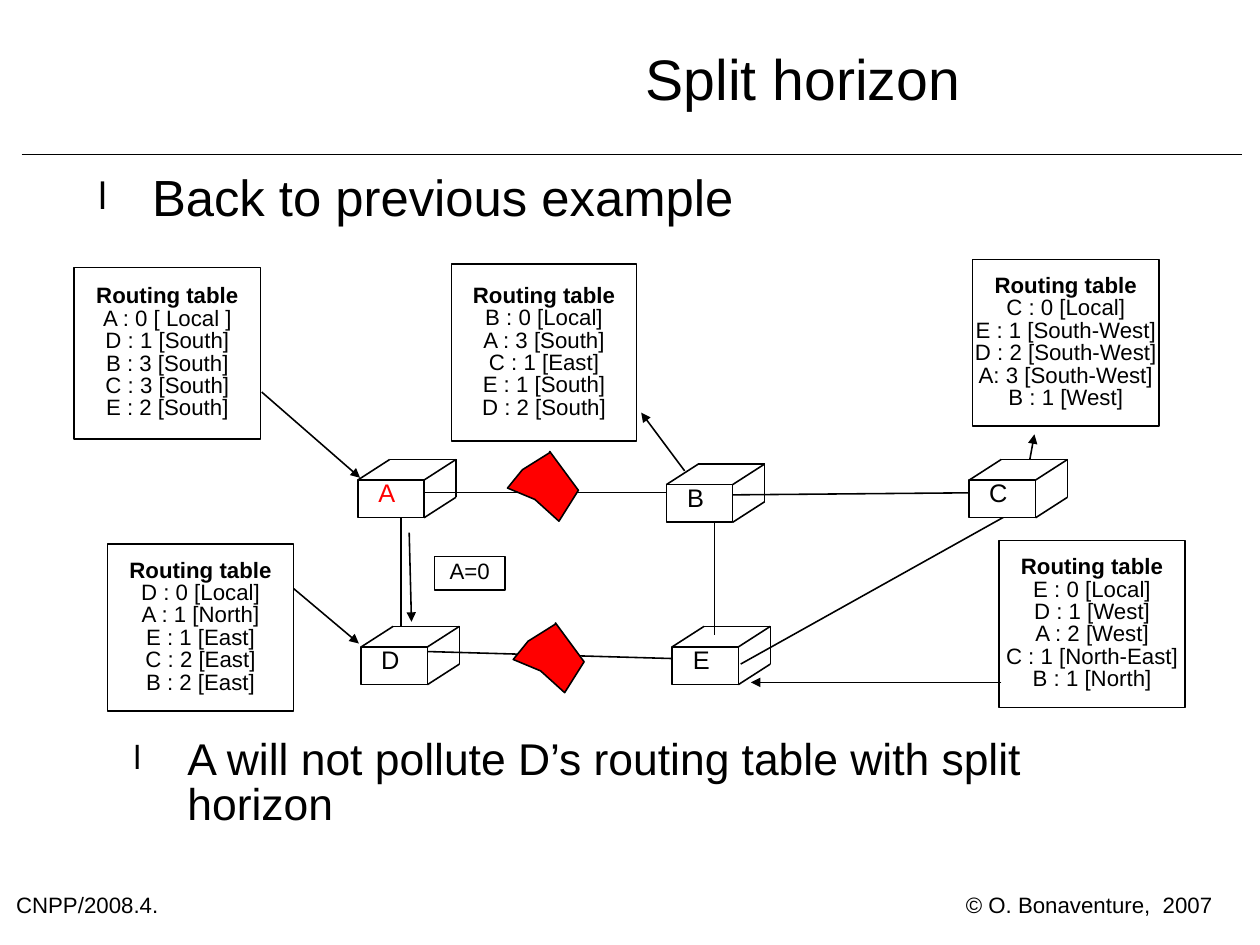
from lxml.etree import SubElement
from pptx import Presentation
from pptx.dml.color import RGBColor
from pptx.enum.shapes import MSO_CONNECTOR, MSO_SHAPE
from pptx.enum.text import MSO_ANCHOR, PP_ALIGN
from pptx.oxml.ns import qn
from pptx.util import Cm, Inches, Pt

INK = {name: RGBColor.from_string(code) for name, code in
       {"black": "000000", "white": "FFFFFF", "red": "FF0000"}.items()}
# Places are columns and rows of a grid with this step.
CELL = Inches(0.01)

deck = Presentation()
deck.slide_width, deck.slide_height = Cm(28), Cm(21)
slide = deck.slides.add_slide(deck.slide_layouts[6])
shapes = slide.shapes


def link(x1, y1, x2, y2, arrow=False):
    line = shapes.add_connector(MSO_CONNECTOR.STRAIGHT,
                                *(n * CELL for n in (x1, y1, x2, y2)))
    line.line.color.rgb = INK["black"]
    line.line.width = Pt(1)
    props = line._element.spPr
    if arrow:
        SubElement(props.find(qn("a:ln")), qn("a:tailEnd"), type="triangle")
    SubElement(props, qn("a:effectLst"))


def write(shape, lines, size, ink="black", align=PP_ALIGN.CENTER,
          anchor=MSO_ANCHOR.MIDDLE, wrap=True):
    """Fill a shape with tightly spaced lines and no margins."""
    frame = shape.text_frame
    frame.margin_left = frame.margin_right = 0
    frame.margin_top = frame.margin_bottom = 0
    frame.vertical_anchor, frame.word_wrap = anchor, wrap
    for i, text in enumerate(lines):
        para = frame.add_paragraph() if i else frame.paragraphs[0]
        para.alignment, para.line_spacing = align, 0.84
        run = para.add_run()
        run.text = text
        run.font.name, run.font.size = "Arial", Pt(size)
        run.font.bold = text == "Routing table"
        run.font.color.rgb = INK[ink]
    return frame


# Title, rule and footer
link(19, 135, 1087, 135)
title = shapes.add_textbox(373 * CELL, 0, 659 * CELL, 146 * CELL)
write(title, ["Split horizon"], 36)
for x, wide, note in [(14, 168, "CNPP/2008.4."),
                      (845, 220, "© O. Bonaventure,  2007")]:
    foot = shapes.add_textbox(x * CELL, 784 * CELL, wide * CELL, 24 * CELL)
    write(foot, [note], 14, align=PP_ALIGN.LEFT, anchor=MSO_ANCHOR.TOP)

# Bullets
for level, (y, high, size, left, text) in enumerate([
        (154, 50, 32, 55, "Back to previous example"),
        (647, 80, 28, 86,
         "A will not pollute D’s routing table with split horizon")]):
    body = shapes.add_textbox(78 * CELL, y * CELL, 941 * CELL, high * CELL)
    frame = write(body, [text], size, align=PP_ALIGN.LEFT,
                  anchor=MSO_ANCHOR.TOP)
    para = frame.paragraphs[0]
    para.level = level
    props = para._p.get_or_add_pPr()
    props.set("marL", str(left * CELL))
    props.set("indent", str(-47 * CELL))
    color = SubElement(props, qn("a:buClr"))
    SubElement(color, qn("a:srgbClr"), val=str(INK["black"]))
    SubElement(props, qn("a:buSzPct"), val="75000")
    SubElement(props, qn("a:buFont"), typeface="Arial")
    SubElement(props, qn("a:buChar"), char="l")

# Network links
for ends in [(351, 452, 351, 548), (373, 570, 617, 577),
             (368, 431, 614, 431), (625, 451, 625, 556),
             (648, 581, 879, 452), (636, 433, 868, 431)]:
    link(*ends)

# Routers: a front face with the edges of a box behind it
WIDE, HIGH, DX, DY = 58, 33, 28, 18
for name, x, y in [("A", 313, 420), ("B", 583, 424), ("C", 848, 420),
                   ("D", 316, 566), ("E", 588, 566)]:
    face = shapes.add_shape(MSO_SHAPE.RECTANGLE, x * CELL, y * CELL,
                            WIDE * CELL, HIGH * CELL)
    face.shadow.inherit = False
    face.fill.solid()
    face.fill.fore_color.rgb = INK["white"]
    face.line.color.rgb = INK["black"]
    face.line.width = Pt(1)
    frame = write(face, [name], 16, "red" if name == "A" else "black")
    frame.margin_right = frame.margin_bottom = 7 * CELL
    right, low = x + WIDE, y + HIGH
    for cx, cy in [(x, y), (right, y), (right, low)]:
        link(cx, cy, cx + DX, cy - DY)
    link(x + DX, y - DY, right + DX, y - DY)
    link(right + DX, y - DY, right + DX, low - DY)

# Routing tables and the message
HEAD = "Routing table"
for x, y, w, h, lines in [
        (65, 234, 163, 150, [HEAD, "A : 0 [ Local ]", "D : 1 [South]",
                             "B : 3 [South]", "C : 3 [South]",
                             "E : 2 [South]"]),
        (395, 231, 162, 155, [HEAD, "B : 0 [Local]", "A : 3 [South]",
                              "C : 1 [East]", "E : 1 [South]",
                              "D : 2 [South]"]),
        (851, 227, 163, 146, [HEAD, "C : 0 [Local]", "E : 1 [South-West]",
                              "D : 2 [South-West]", "A: 3 [South-West]",
                              "B : 1 [West]"]),
        (94, 476, 163, 146, [HEAD, "D : 0 [Local]", "A : 1 [North]",
                             "E : 1 [East]", "C : 2 [East]",
                             "B : 2 [East]"]),
        (874, 473, 163, 146, [HEAD, "E : 0 [Local]", "D : 1 [West]",
                              "A : 2 [West]", "C : 1 [North-East]",
                              "B : 1 [North]"]),
        (380, 487, 62, 29, ["A=0"])]:
    panel = shapes.add_shape(MSO_SHAPE.RECTANGLE, x * CELL, y * CELL,
                             w * CELL, h * CELL)
    panel.shadow.inherit = False
    panel.fill.background()
    panel.line.color.rgb = INK["black"]
    panel.line.width = Pt(1)
    write(panel, lines, 14, wrap=False)

# Arrows between tables and routers, and from A to D
for ends in [(229, 343, 315, 418), (599, 412, 561, 361),
             (901, 402, 905, 380), (257, 515, 314, 563),
             (876, 597, 657, 597), (358, 466, 360, 544)]:
    link(*ends, arrow=True)

# Broken links
for x, y in [(444, 395), (449, 545)]:
    pen = shapes.build_freeform(x + 37, y, scale=CELL)
    pen.add_line_segments([(x + dx, y + dy) for dx, dy in
                           [(62, 34), (45, 61), (24, 42), (0, 32),
                            (13, 16), (37, 1)]], close=True)
    crack = pen.convert_to_shape()
    crack.shadow.inherit = False
    crack.fill.solid()
    crack.fill.fore_color.rgb = INK["red"]
    crack.line.color.rgb = INK["black"]
    crack.line.width = Pt(1)

deck.save("out.pptx")
